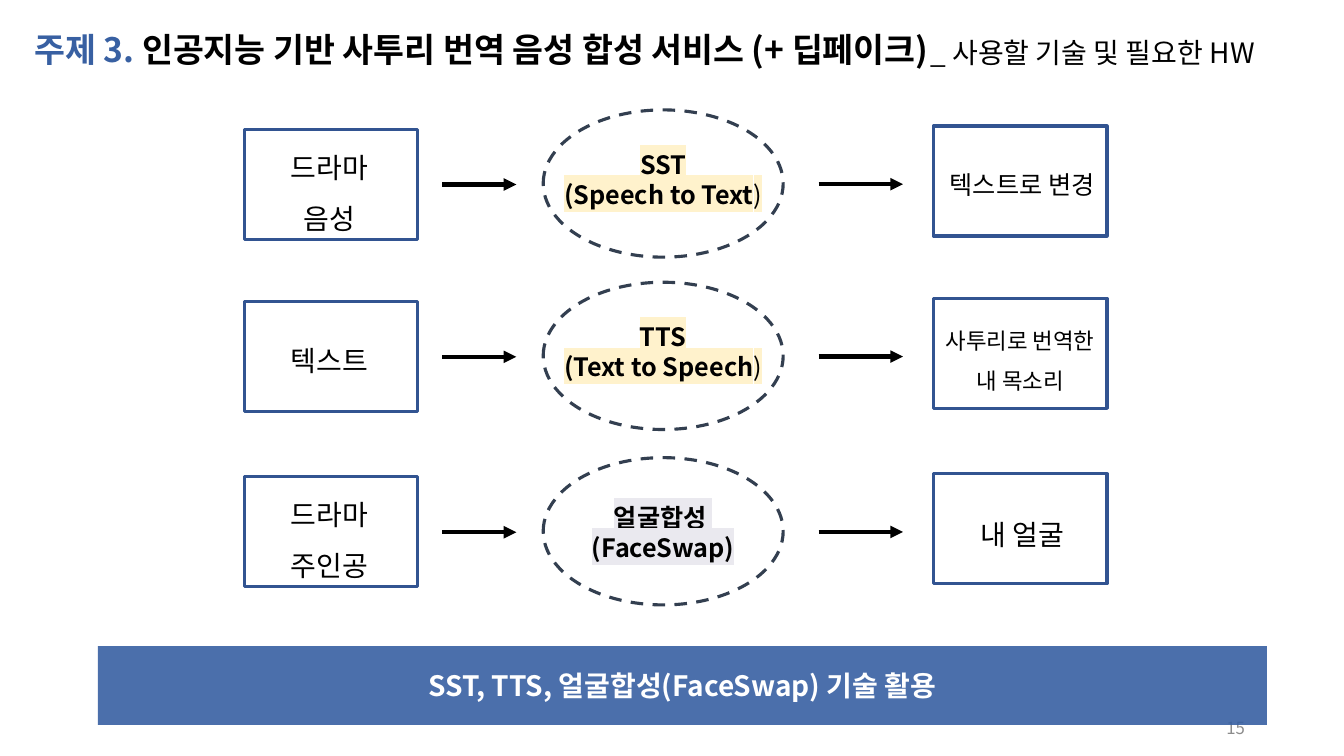
"""Build the slide on dialect translation and voice synthesis technology."""
import pptx
import pptx.dml.color
import pptx.enum.dml
import pptx.enum.shapes
import pptx.enum.text
import pptx.oxml
import pptx.oxml.ns
import pptx.util

Pt = pptx.util.Pt
ALIGN = pptx.enum.text.PP_ALIGN
SHAPE = pptx.enum.shapes.MSO_SHAPE
MIDDLE = pptx.enum.text.MSO_ANCHOR.MIDDLE


def rgb(value):
    return pptx.dml.color.RGBColor.from_string(value)


def element(tag, children="", **attrs):
    pairs = " ".join(f'{k}="{v}"' for k, v in attrs.items())
    ns = pptx.oxml.ns.nsdecls("a")
    return pptx.oxml.parse_xml(f"<a:{tag} {ns} {pairs}>{children}</a:{tag}>")


class Deck:
    font = "Noto Sans CJK KR"
    black = "000000"
    blue = "3860A2"

    def __init__(self):
        self.prs = pptx.Presentation()
        self.prs.slide_width, self.prs.slide_height = Pt(960), Pt(540)
        self.s = self.prs.slides.add_slide(self.prs.slide_layouts[6])

    def fill_text(self, tf, paragraphs, size, color=black, bold=False,
                  align=ALIGN.CENTER, spacing=None, highlight=None):
        for i, runs in enumerate(paragraphs):
            p = tf.add_paragraph() if i else tf.paragraphs[0]
            p.alignment = align
            if spacing:
                p.line_spacing = spacing
            p.font.size, p.font.name, p.font.bold = Pt(size), self.font, bold
            p.font.color.rgb = rgb(color)
            latin = p._p.pPr.find(".//" + pptx.oxml.ns.qn("a:latin"))
            latin.addnext(element("ea", typeface=self.font))
            for text, style in runs:
                r = p.add_run()
                r.text = text
                if "bold" in style:
                    r.font.bold = style["bold"]
                if "color" in style:
                    r.font.color.rgb = rgb(style["color"])
                if highlight:
                    mark = f'<a:srgbClr val="{highlight}"/>'
                    r._r.get_or_add_rPr().append(element("highlight", mark))

    def text(self, box, paragraphs, size, anchor=None, **style):
        tf = self.s.shapes.add_textbox(*map(Pt, box)).text_frame
        tf.word_wrap = True
        if anchor is not None:
            tf.vertical_anchor = anchor
        else:
            tf.auto_size = pptx.enum.text.MSO_AUTO_SIZE.SHAPE_TO_FIT_TEXT
        self.fill_text(tf, paragraphs, size, **style)

    def label(self, box, text, size):
        self.text(box, [[(text, {})]], size, spacing=1.5)

    def outline(self, kind, box, color, dash=None):
        sp = self.s.shapes.add_shape(kind, *map(Pt, box))
        sp.shadow.inherit = False
        sp.fill.background()
        sp.line.color.rgb = rgb(color)
        sp.line.width = Pt(2.25)
        if dash:
            sp.line.dash_style = dash

    def arrow(self, x1, x2, y):
        line = self.s.shapes.add_connector(
            pptx.enum.shapes.MSO_CONNECTOR.STRAIGHT, Pt(x1), Pt(y), Pt(x2), Pt(y))
        line.line.color.rgb = rgb(self.black)
        line.line.width = Pt(3)
        line.line._get_or_add_ln().append(element("tailEnd", type="triangle"))
        line._element.spPr.append(element("effectLst"))

    def bar(self, box, text):
        sp = self.s.shapes.add_shape(SHAPE.RECTANGLE, *map(Pt, box))
        sp.shadow.inherit = False
        sp.fill.solid()
        sp.fill.fore_color.rgb = rgb(self.blue)
        fill = sp._element.spPr.find(".//" + pptx.oxml.ns.qn("a:srgbClr"))
        fill.append(element("alpha", val=90000))
        sp.line.fill.background()
        sp.text_frame.vertical_anchor = MIDDLE
        self.fill_text(sp.text_frame, [[(text, {})]], 20, color="FFFFFF", bold=True)

    def row(self, top, source, technique, result):
        self.arrow(316, 368.8, top + 39.6)
        self.arrow(584.8, 645, top + 39.4)
        self.outline(SHAPE.RECTANGLE, (174.4, top, 124, 78.6), "325491")
        self.outline(SHAPE.OVAL, (388, top - 13.7, 171.4, 105.2), "333F50",
                     pptx.enum.dml.MSO_LINE.DASH)
        self.outline(SHAPE.RECTANGLE, (666.8, top - 2.2, 124, 78.6), "325491")
        text, dy, height = source
        self.label((192.2, top + dy, 86.4, height), text, 20)
        paragraphs, dy, highlight = technique
        self.text((379.2, top + dy, 189, 51), paragraphs, 18, bold=True,
                  highlight=highlight)
        text, size, x, dy, width, height = result
        self.label((x, top + dy, width, height), text, size)


def main():
    deck = Deck()
    deck.text((680.4, 505.4, 216, 28.8), [[("15", {})]], 12, anchor=MIDDLE,
              color="8C8C8C", align=ALIGN.RIGHT)
    deck.text((17.4, 17.4, 653.8, 36), [[
        ("주제 3. ", {"color": deck.blue}),
        ("인공지능 기반 사투리 번역 음성 합성 서비스 (+ 딥페이크)", {})]],
        24, bold=True, align=ALIGN.LEFT)
    deck.text((657.4, 21.6, 247, 31.7), [[("_ 사용할 기술 및 필요한 HW", {})]],
              20, align=ALIGN.LEFT)

    def speech(name, detail):
        return [[(name, {})], [(detail, {}), (")", {"bold": False})]]

    face_swap = [[("얼굴합성 ", {})], [("(FaceSwap)", {})]]
    rows = [
        (92.2, ("드라마 음성", 0, 75.6),
         (speech("SST", "(Speech to Text"), 10.8, "FFF2CC"),
         ("텍스트로 변경", 18, 668.2, 14.4, 123.8, 36)),
        (215.3, ("텍스트", 14.4, 39.6),
         (speech("TTS", "(Text to Speech"), 10.8, "FFF2CC"),
         ("사투리로 번역한 내 목소리", 16, 661.7, 5, 134, 62)),
        (340.6, ("드라마 주인공", -0.7, 75.6),
         (face_swap, 14.4, "EAE9EF"),
         ("내 얼굴", 20, 686.9, 13.7, 86.4, 39.6)),
    ]
    for row in rows:
        deck.row(*row)
    deck.bar((70, 461.5, 835, 56.2), "SST, TTS, 얼굴합성(FaceSwap) 기술 활용")
    deck.prs.save("out.pptx")


if __name__ == "__main__":
    main()
